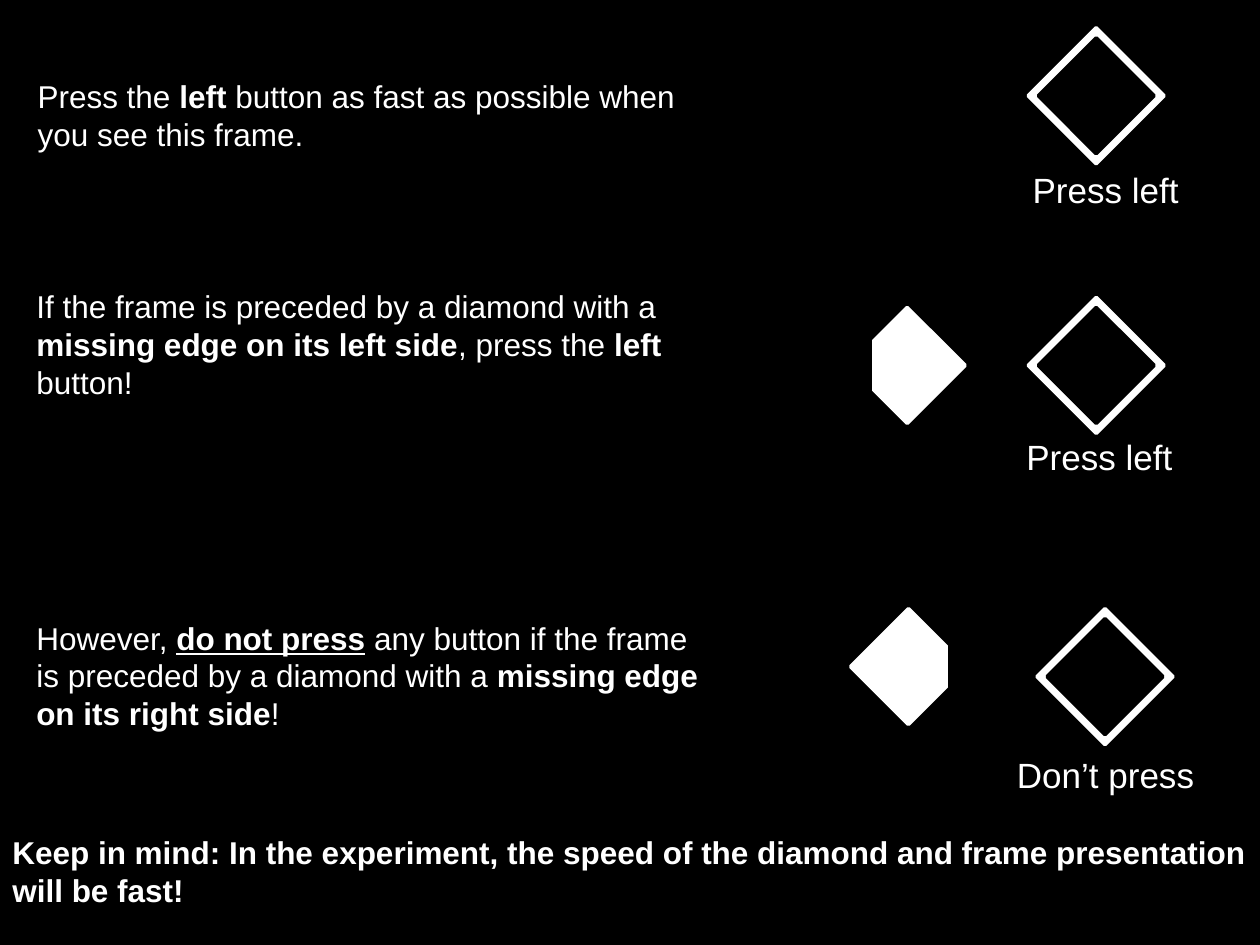
from dataclasses import dataclass
from pptx import Presentation
from pptx.dml.color import RGBColor
from pptx.enum.shapes import MSO_SHAPE
from pptx.enum.text import MSO_ANCHOR, PP_ALIGN
from pptx.util import Inches, Pt


@dataclass(frozen=True)
class Theme:
    ground: RGBColor = RGBColor(0, 0, 0)
    ink: RGBColor = RGBColor(255, 255, 255)
    font: str = "Arial"
    body: int = 18
    caption: int = 20
    outline: int = 2


theme = Theme()
COLUMNS, ROWS = 100, 75
FRAME, CORE = 10.8, 9.2
CUT_WIDTH, CUT_HEIGHT = 2.1, 5
CUT_OFFSET = {"left": -0.4, "right": 7.9}
TOP_INSET = 0.5

trials = [
    {
        "instruction": [("Press the ", ""), ("left ", "b"),
                        ("button as fast as possible when you see this frame.", "")],
        "instruction_at": (2, 5.6, 55.6, 7.1),
        "frame_at": (81.6, 2.2),
        "caption": "Press left",
        "caption_at": (76.9, 12.9, 21.7, 4.4),
    },
    {
        "instruction": [("If the frame is preceded by a diamond with a ", ""),
                        ("missing edge on its left side", "b"),
                        (", press the ", ""), ("left ", "b"), ("button!", "")],
        "instruction_at": (1.9, 22.3, 55.2, 10.1),
        "cue_at": (67.4, 24.4),
        "missing": "left",
        "frame_at": (81.6, 23.6),
        "caption": "Press left",
        "caption_at": (76, 34.1, 22.5, 4.4),
    },
    {
        "instruction": [("However, ", ""), ("do not press", "bu"),
                        (" any button if the frame is preceded by a diamond with a ", ""),
                        ("missing edge on its right side", "b"), ("!", "")],
        "instruction_at": (1.9, 45.6, 55.6, 19.2),
        "lead": 3,
        "cue_at": (67.5, 48.3),
        "missing": "right",
        "frame_at": (82.3, 48.3),
        "caption": "Don’t press",
        "caption_at": (76.9, 59.3, 21.7, 4.4),
    },
]
reminder = [("Keep in mind: In the experiment, the speed of the diamond "
             "and frame presentation will be fast!", "b")]
reminder_at = (0, 65.6, 100, 7.1)

deck = Presentation()
deck.slide_width, deck.slide_height = Inches(10), Inches(7.5)
slide = deck.slides.add_slide(deck.slide_layouts[6])
slide.background.fill.solid()
slide.background.fill.fore_color.rgb = theme.ground


def across(columns):
    return round(deck.slide_width * columns / COLUMNS)


def down(rows):
    return round(deck.slide_height * rows / ROWS)


def place(left, top, width, height):
    return across(left), down(top), across(width), down(height)


def add_solid(preset, area, color):
    solid = slide.shapes.add_shape(preset, *place(*area))
    solid.shadow.inherit = False
    solid.fill.solid()
    solid.fill.fore_color.rgb = color
    solid.line.color.rgb = color
    solid.line.width = Pt(theme.outline)


def add_frame(left, top):
    rim = (FRAME - CORE) / 2
    add_solid(MSO_SHAPE.DIAMOND, (left, top, FRAME, FRAME), theme.ink)
    add_solid(MSO_SHAPE.DIAMOND, (left + rim, top + rim, CORE, CORE), theme.ground)


def add_cue(left, top, missing):
    add_solid(MSO_SHAPE.DIAMOND, (left, top, CORE, CORE), theme.ink)
    cut = (left + CUT_OFFSET[missing], top + (CORE - CUT_HEIGHT) / 2, CUT_WIDTH, CUT_HEIGHT)
    add_solid(MSO_SHAPE.RECTANGLE, cut, theme.ground)


def add_text(area, runs, size, align=PP_ALIGN.LEFT, lead=0):
    frame = slide.shapes.add_textbox(*place(*area)).text_frame
    frame.word_wrap = True
    frame.vertical_anchor = MSO_ANCHOR.TOP
    frame.margin_top = down(TOP_INSET + lead)
    paragraph = frame.paragraphs[0]
    paragraph.alignment = align
    for words, style in runs:
        run = paragraph.add_run()
        run.text = words
        run.font.name = theme.font
        run.font.size = Pt(size)
        run.font.color.rgb = theme.ink
        run.font.bold = "b" in style
        run.font.underline = "u" in style


for trial in trials:
    add_text(trial["instruction_at"], trial["instruction"], theme.body,
             lead=trial.get("lead", 0))
    if "missing" in trial:
        add_cue(*trial["cue_at"], trial["missing"])
    add_frame(*trial["frame_at"])
    add_text(trial["caption_at"], [(trial["caption"], "")], theme.caption, PP_ALIGN.CENTER)
add_text(reminder_at, reminder, theme.body)

deck.save("out.pptx")
